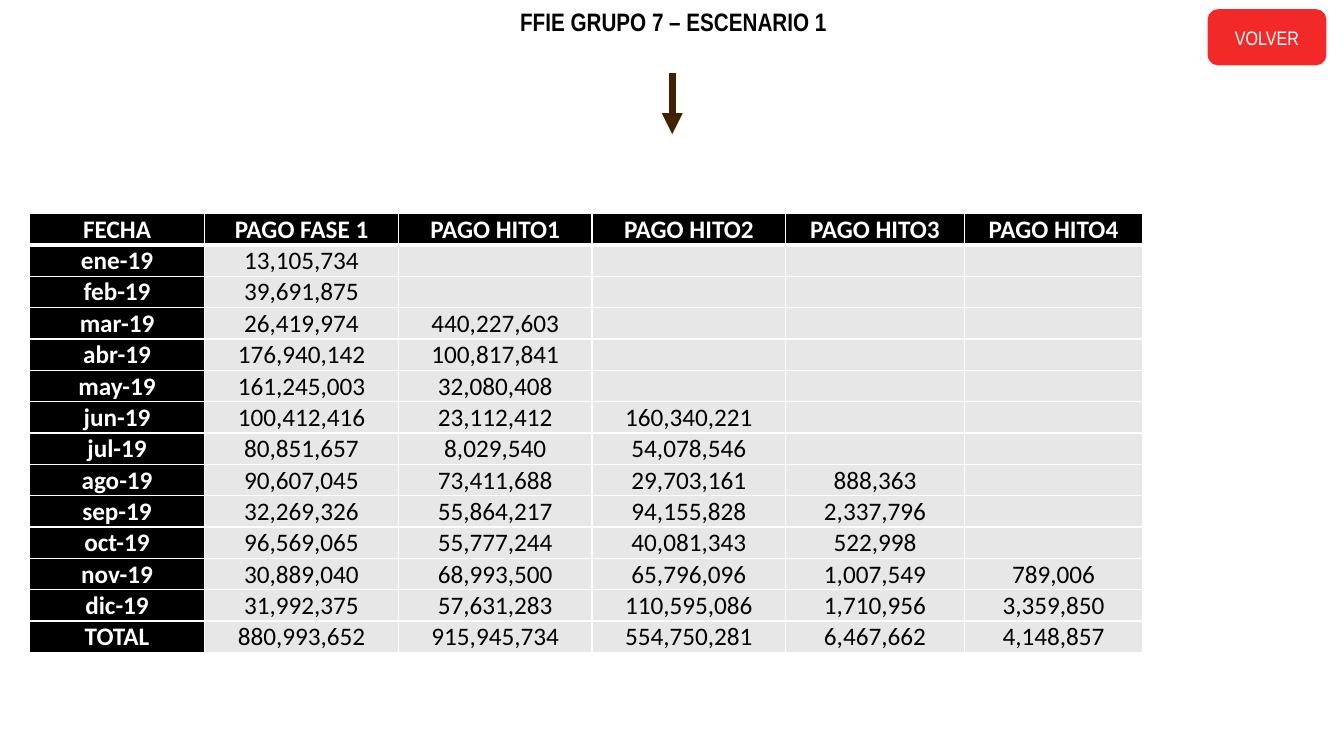
import lxml.etree
import pptx
import pptx.dml.color
import pptx.enum.shapes
import pptx.enum.text
import pptx.oxml.ns
import pptx.util

Cm = pptx.util.Cm
Pt = pptx.util.Pt
Anchor = pptx.enum.text.MSO_ANCHOR

COLORS = {
    "white": "FFFFFF",
    "black": "000000",
    "gray": "E7E7E7",
    "red": "F32929",
    "brown": "422100",
}

HEADINGS = ["FECHA", "PAGO FASE 1", "PAGO HITO1", "PAGO HITO2", "PAGO HITO3", "PAGO HITO4"]
PAYMENTS = {
    "ene-19": [13105734],
    "feb-19": [39691875],
    "mar-19": [26419974, 440227603],
    "abr-19": [176940142, 100817841],
    "may-19": [161245003, 32080408],
    "jun-19": [100412416, 23112412, 160340221],
    "jul-19": [80851657, 8029540, 54078546],
    "ago-19": [90607045, 73411688, 29703161, 888363],
    "sep-19": [32269326, 55864217, 94155828, 2337796],
    "oct-19": [96569065, 55777244, 40081343, 522998],
    "nov-19": [30889040, 68993500, 65796096, 1007549, 789006],
    "dic-19": [31992375, 57631283, 110595086, 1710956, 3359850],
    "TOTAL": [880993652, 915945734, 554750281, 6467662, 4148857],
}
COLUMN_WIDTHS = [4.42, 4.88, 4.88, 4.88, 4.5, 4.5]
ROW_HEIGHT = 0.79


def rgb(color):
    return pptx.dml.color.RGBColor.from_string(COLORS[color])


def write(frame, text, font="Calibri", size=18, color="black", bold=False):
    paragraph = frame.paragraphs[0]
    paragraph.alignment = pptx.enum.text.PP_ALIGN.CENTER
    run = paragraph.add_run()
    run.text = text
    run.font.name = font
    run.font.size = Pt(size)
    run.font.bold = bold
    run.font.color.rgb = rgb(color)


def add_xml(parent, tag, **attributes):
    return lxml.etree.SubElement(parent, pptx.oxml.ns.qn(tag), **attributes)


class ScenarioSlide:
    heading_font = "Arial Narrow"

    def __init__(self, presentation):
        self.slide = presentation.slides.add_slide(presentation.slide_layouts[5])
        self.shapes = self.slide.shapes

    def title(self, text, left, top, width, height):
        title = self.shapes.title
        title.left, title.top = Cm(left), Cm(top)
        title.width, title.height = Cm(width), Cm(height)
        title.text_frame.vertical_anchor = Anchor.TOP
        title.text_frame.word_wrap = True
        title.text_frame.auto_size = pptx.enum.text.MSO_AUTO_SIZE.SHAPE_TO_FIT_TEXT
        write(title.text_frame, text, font=self.heading_font, bold=True)

    def button(self, text, left, top, width, height):
        button = self.shapes.add_shape(
            pptx.enum.shapes.MSO_SHAPE.ROUNDED_RECTANGLE,
            Cm(left), Cm(top), Cm(width), Cm(height))
        button.shadow.inherit = False
        button.fill.solid()
        button.fill.fore_color.rgb = rgb("red")
        button.line.color.rgb = rgb("red")
        button.line.width = Pt(2.75)
        button.text_frame.vertical_anchor = Anchor.MIDDLE
        write(button.text_frame, text, font=self.heading_font, size=14, color="white")

    def down_arrow(self, x, top, bottom):
        arrow = self.shapes.add_connector(
            pptx.enum.shapes.MSO_CONNECTOR.STRAIGHT, Cm(x), Cm(top), Cm(x), Cm(bottom))
        arrow.line.color.rgb = rgb("brown")
        arrow.line.width = Pt(5)
        add_xml(arrow.line._get_or_add_ln(), "a:tailEnd", type="triangle")
        add_xml(arrow._element.spPr, "a:effectLst")

    def cell(self, cell, text, dark, top_border, bottom_border):
        cell.margin_left = cell.margin_right = cell.margin_top = Cm(0.02)
        cell.margin_bottom = 0
        cell.vertical_anchor = Anchor.BOTTOM
        borders = {"a:lnL": 1, "a:lnR": 1, "a:lnT": top_border, "a:lnB": bottom_border}
        for side, width in borders.items():
            line = add_xml(cell._tc.get_or_add_tcPr(), side, w=str(Pt(width)))
            add_xml(add_xml(line, "a:solidFill"), "a:srgbClr", val=COLORS["white"])
        cell.fill.solid()
        cell.fill.fore_color.rgb = rgb("black" if dark else "gray")
        if text:
            write(cell.text_frame, text, color="white" if dark else "black", bold=dark)

    def table(self, rows, left, top):
        table = self.shapes.add_table(
            len(rows), len(COLUMN_WIDTHS), Cm(left), Cm(top),
            Cm(sum(COLUMN_WIDTHS)), Cm(ROW_HEIGHT * len(rows))).table
        table.horz_banding = False
        table.first_col = True
        for column, width in zip(table.columns, COLUMN_WIDTHS):
            column.width = Cm(width)
        for r, texts in enumerate(rows):
            table.rows[r].height = Cm(ROW_HEIGHT)
            for c, text in enumerate(texts):
                self.cell(table.cell(r, c), text, dark=r == 0 or c == 0,
                          top_border=3 if r == 1 else 1,
                          bottom_border=3 if r == 0 else 1)


def main():
    presentation = pptx.Presentation()
    presentation.slide_width = Cm(33.87)
    presentation.slide_height = Cm(19.05)

    rows = [HEADINGS]
    for month, amounts in PAYMENTS.items():
        blanks = [""] * (len(HEADINGS) - 1 - len(amounts))
        rows.append([month] + [f"{amount:,}" for amount in amounts] + blanks)

    scenario = ScenarioSlide(presentation)
    scenario.title("FFIE GRUPO 7 – ESCENARIO 1", 11.46, 0.03, 11.02, 1.02)
    scenario.button("VOLVER", 30.48, 0.28, 2.9, 1.32)
    scenario.down_arrow(16.94, 1.83, 3.38)
    scenario.table(rows, 0.74, 5.38)
    presentation.save("out.pptx")


if __name__ == "__main__":
    main()
